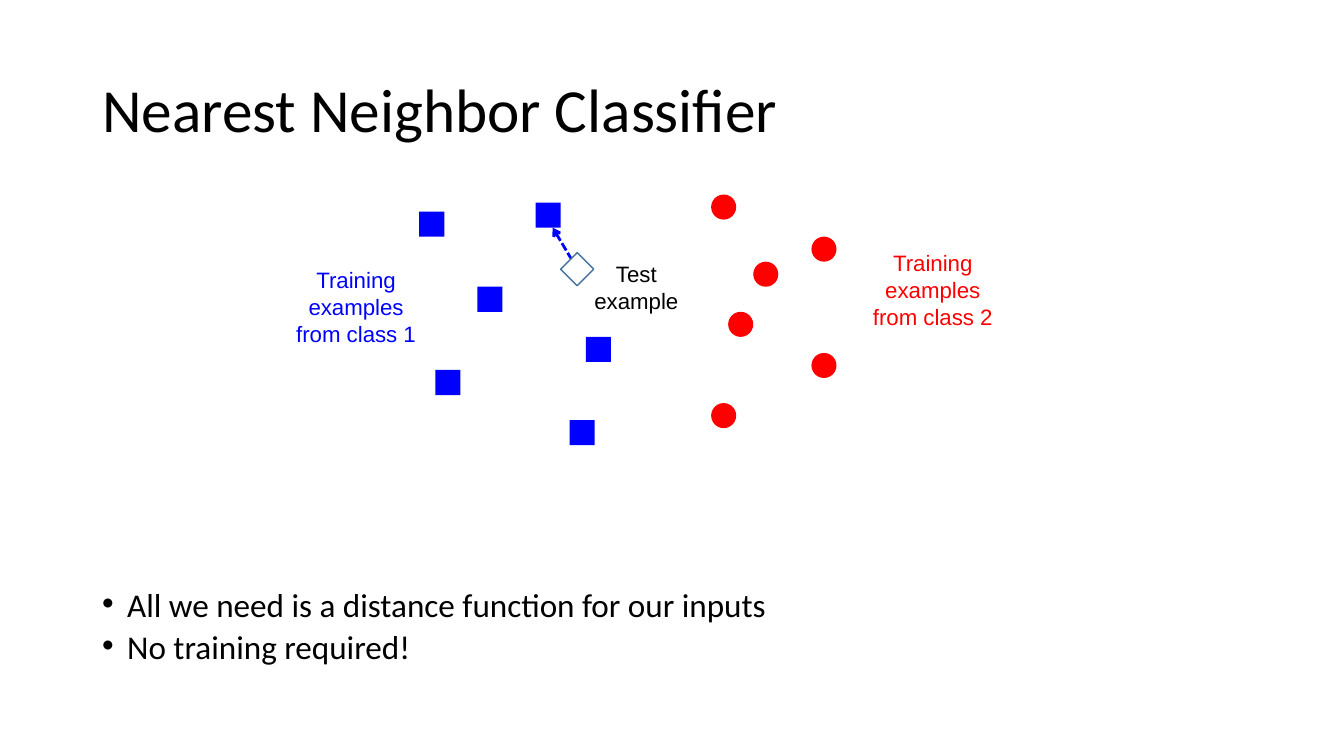
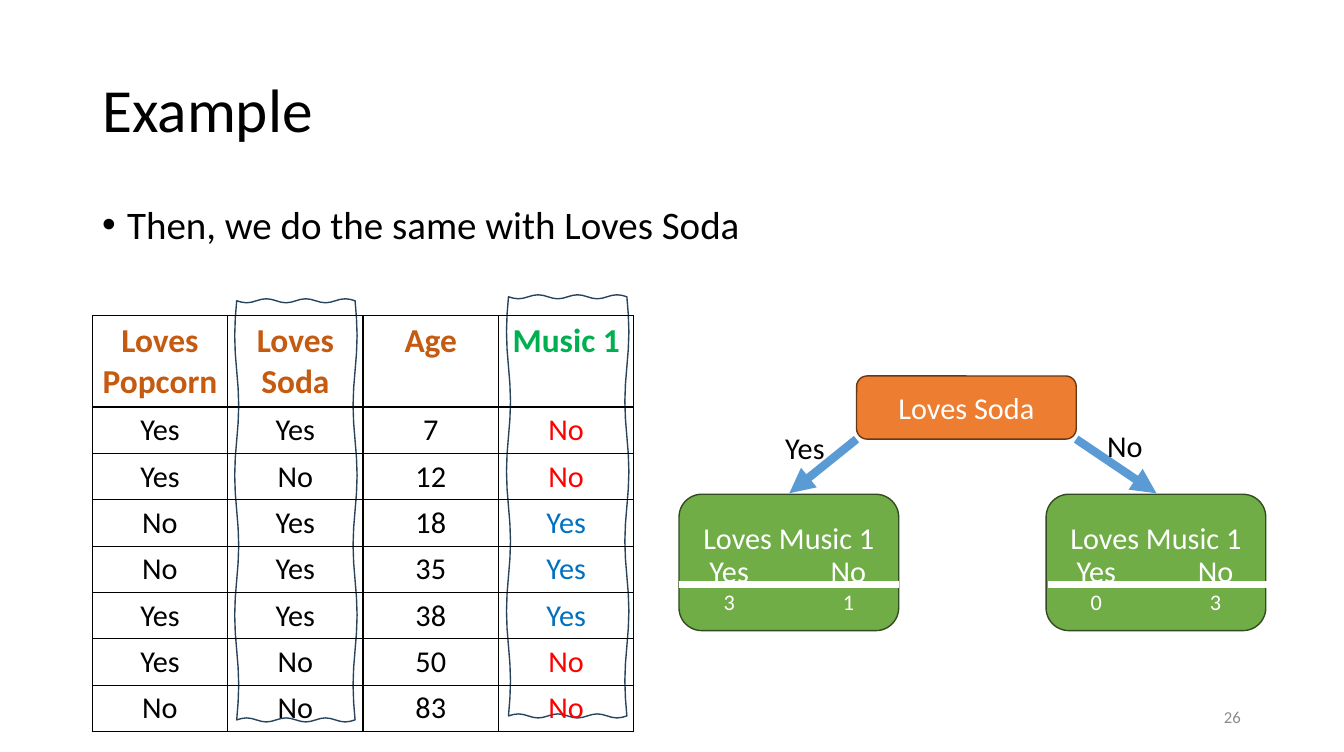
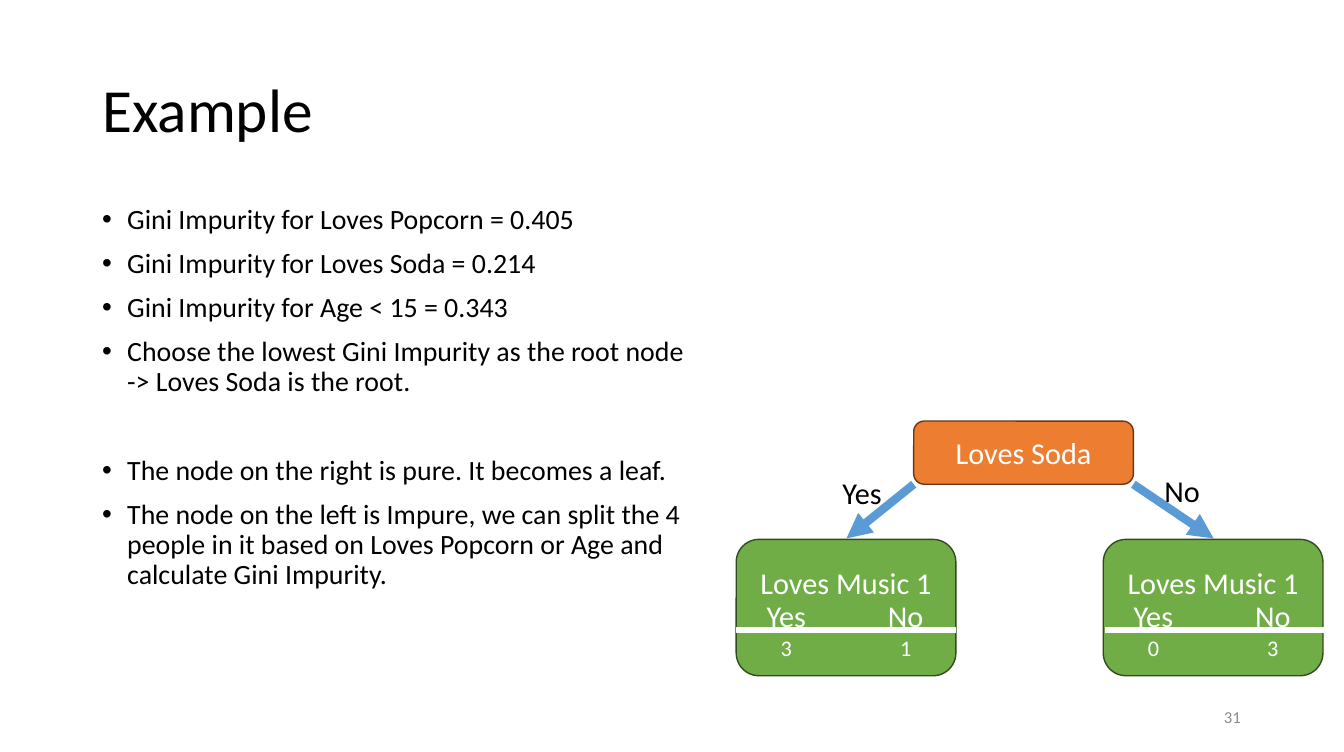
import math
from lxml import etree
from pptx import Presentation
from pptx.dml.color import RGBColor
from pptx.enum.dml import MSO_LINE
from pptx.enum.shapes import MSO_CONNECTOR, MSO_SHAPE
from pptx.enum.text import MSO_ANCHOR, PP_ALIGN
from pptx.oxml.ns import qn
from pptx.util import Pt

PX = 9144
LEFT, MID, RIGHT = PP_ALIGN.LEFT, PP_ALIGN.CENTER, PP_ALIGN.RIGHT
TOP, CENTER = MSO_ANCHOR.TOP, MSO_ANCHOR.MIDDLE
RECT, OVAL = MSO_SHAPE.RECTANGLE, MSO_SHAPE.OVAL
ROUND, DIAMOND = MSO_SHAPE.ROUNDED_RECTANGLE, MSO_SHAPE.DIAMOND
STRAIGHT, DASH = MSO_CONNECTOR.STRAIGHT, MSO_LINE.SQUARE_DOT

BLACK, WHITE, GRAY = "000000", "FFFFFF", "8C8C8C"
BLUE, RED, SKY = "0000FF", "FF0000", "5B9BD5"
GREEN, MOSS, ORANGE, BROWN = "70AD47", "314C1F", "ED7D31", "683715"
RUST, LEAF, AZURE, NAVY, STEEL = "C55A11", "00B050", "0070C0", "28445D", "43739E"
BODY = 21.7

DOTS = [
    (RECT, BLUE, [(418, 211), (476, 286), (534, 202),
                  (434, 369), (584, 336), (568, 419)]),
    (OVAL, RED, [(809, 236), (726, 311), (809, 352),
                 (709, 194), (751, 261), (709, 402)]),
]
LABELS = [
    ("Test example", (576, 255, 117, 64), BLACK),
    ("Training examples from class 1", (284, 261, 142, 91), BLUE),
    ("Training examples from class 2", (859, 244, 142, 91), RED),
]
NEEDS = ["All we need is a distance function for our inputs",
         "No training required!"]
SODA = ["Then, we do the same with Loves Soda"]
GINI = [
    "Gini Impurity for Loves Popcorn = 0.405",
    "Gini Impurity for Loves Soda = 0.214",
    "Gini Impurity for Age < 15 = 0.343",
    "Choose the lowest Gini Impurity as the root node -> Loves Soda is the root.",
    "The node on the right is pure. It becomes a leaf.",
    "The node on the left is Impure, we can split the 4 people in it based on "
    "Loves Popcorn or Age and calculate Gini Impurity.",
]
PEOPLE = [
    ("Loves Popcorn", "Loves Soda", "Age", "Music 1"),
    ("Yes", "Yes", "7", "No"),
    ("Yes", "No", "12", "No"),
    ("No", "Yes", "18", "Yes"),
    ("No", "Yes", "35", "Yes"),
    ("Yes", "Yes", "38", "Yes"),
    ("Yes", "No", "50", "No"),
    ("No", "No", "83", "No"),
]
HEADS = [RUST, RUST, RUST, LEAF]
VOTES = {"Yes": AZURE, "No": RED}
FRAMES = [(236, 300), (507, 296)]
LEAVES = [(0, 0, ("3", "1")), (366, 2, ("0", "3"))]
ARROWS = [((177, -55), (110, -1)), ((396, -55), (476, -1))]
SIDES = [("Yes", 96, -70), ("No", 417, -72)]


def emu(*nums):
    return [round(n * PX) for n in nums]


def rgb(code):
    return RGBColor.from_string(code)


def style(para, size, color=BLACK, align=LEFT, face="Calibri", bold=False):
    para.alignment = align
    font = para.font
    font.size, font.name, font.bold = Pt(size), face, bold
    font.color.rgb = rgb(color)


def paint(shape, fill, line=None):
    shape.shadow.inherit = False
    shape.fill.solid()
    shape.fill.fore_color.rgb = rgb(fill)
    if line:
        shape.line.color.rgb = rgb(line)
        shape.line.width = Pt(1)
    else:
        shape.line.fill.background()


def block(slide, kind, box, fill, line=None):
    shape = slide.shapes.add_shape(kind, *emu(*box))
    paint(shape, fill, line)
    return shape


def label(slide, text, box, size, color=BLACK, align=LEFT, face="Calibri",
          anchor=TOP):
    frame = slide.shapes.add_textbox(*emu(*box)).text_frame
    frame.word_wrap = True
    frame.vertical_anchor = anchor
    frame.text = text
    style(frame.paragraphs[0], size, color, align, face)
    return frame


def link(slide, start, end, color, width, tip=None, dash=None):
    line = slide.shapes.add_connector(STRAIGHT, *emu(*start, *end))
    line.line.color.rgb = rgb(color)
    line.line.width = Pt(width)
    if dash:
        line.line.dash_style = dash
    props = line._element.spPr
    if tip:
        etree.SubElement(props.find(qn("a:ln")), qn("a:tailEnd"), type=tip)
    etree.SubElement(props, qn("a:effectLst"))


def page(deck, title, number=None):
    slide = deck.slides.add_slide(deck.slide_layouts[5])
    head = slide.shapes.title
    head.left, head.top, head.width, head.height = emu(92, 40, 1156, 145)
    frame = head.text_frame
    frame.text = title
    frame.vertical_anchor = CENTER
    para = frame.paragraphs[0]
    para.line_spacing = 0.9
    style(para, 44)
    if number:
        label(slide, number, (946, 695, 301, 40), 12, GRAY, RIGHT,
              anchor=CENTER)
    return slide


def points(slide, items, box, size, space=0.9, gaps=None):
    frame = slide.shapes.add_textbox(*emu(*box)).text_frame
    frame.word_wrap = True
    for i, item in enumerate(items):
        para = frame.add_paragraph() if i else frame.paragraphs[0]
        para.text = item
        para.line_spacing = space
        para.space_before = Pt((gaps or {}).get(i, 10 if i else 0))
        props = para._p.get_or_add_pPr()
        props.set("marL", str(25 * PX))
        props.set("indent", str(-25 * PX))
        etree.SubElement(props, qn("a:buFont"), typeface="Arial")
        etree.SubElement(props, qn("a:buChar"), char="•")
        style(para, size)


def sketch(slide, x, y, wide=118, high=418):
    steps = [i / 24 for i in range(24)]
    wave = [2 * math.sin(math.tau * 3 * t) for t in steps]
    pairs = list(zip(steps, wave))
    path_pts = [(wide * t, w) for t, w in pairs]
    path_pts += [(wide + w, high * t) for t, w in pairs]
    path_pts += [(wide * (1 - t), high + w) for t, w in pairs]
    path_pts += [(w, high * (1 - t)) for t, w in pairs]
    spots = [emu(x + dx, y + dy) for dx, dy in path_pts]
    pen = slide.shapes.build_freeform(*spots[0])
    pen.add_line_segments(spots[1:], close=True)
    paint(pen.convert_to_shape(), WHITE, NAVY)


def edge(cell):
    props = cell._tc.get_or_add_tcPr()
    for i, side in enumerate(("lnL", "lnR", "lnT", "lnB")):
        line = etree.Element(qn("a:" + side), w="12700")
        fill = etree.SubElement(line, qn("a:solidFill"))
        etree.SubElement(fill, qn("a:srgbClr"), val=BLACK)
        props.insert(i, line)


def grid(slide):
    rows, cols = len(PEOPLE), len(HEADS)
    table = slide.shapes.add_table(
        rows, cols, *emu(92, 315, 135 * cols, 41 * rows)).table
    for col in table.columns:
        col.width = 135 * PX
    for r, row in enumerate(PEOPLE):
        table.rows[r].height = (41 if r else 91) * PX
        for c, text in enumerate(row):
            cell = table.cell(r, c)
            cell.text = text
            cell.fill.background()
            edge(cell)
            color = VOTES[text] if r and c == cols - 1 else BLACK
            style(cell.text_frame.paragraphs[0], BODY if r else 24,
                  color if r else HEADS[c], MID, bold=not r)


def leaf(slide, x, y, shift, counts):
    frame = block(slide, ROUND, (x, y, 219, 136), GREEN, MOSS).text_frame
    frame.vertical_anchor = TOP
    frame.margin_top = 18 * PX
    frame.text = "Loves Music 1"
    style(frame.paragraphs[0], BODY, WHITE, MID)
    for i, (name, count) in enumerate(zip(("Yes", "No"), counts)):
        box = (x + 10 + 119 * i, y + 58, 80, 64)
        part = label(slide, name, box, BODY, WHITE, MID)
        part.margin_left = part.margin_right = 0
        part.margin_top = part.margin_bottom = 0
        para = part.add_paragraph()
        para.text = count
        style(para, 16, WHITE, MID)
    link(slide, (x + shift, y + 90), (x + shift + 219, y + 90), WHITE, 4.5)


def tree(slide, x, y):
    root = block(slide, ROUND, (x + 177, y - 118, 219, 63), ORANGE, BROWN)
    root.text_frame.text = "Loves Soda"
    root.text_frame.vertical_anchor = CENTER
    style(root.text_frame.paragraphs[0], BODY, WHITE, MID)
    for (ax, ay), (bx, by) in ARROWS:
        link(slide, (x + ax, y + ay), (x + bx, y + by), SKY, 6, "triangle")
    for dx, shift, counts in LEAVES:
        leaf(slide, x + dx, y, shift, counts)
    for text, dx, dy in SIDES:
        label(slide, text, (x + dx, y + dy, 68, 47), BODY)


def main():
    deck = Presentation()
    deck.slide_width, deck.slide_height = emu(1340, 750)

    near = page(deck, "Nearest Neighbor Classifier")
    points(near, NEEDS, (92, 589, 1156, 87), 23.8, 0.7)
    for kind, color, spots in DOTS:
        for x, y in spots:
            block(near, kind, (x, y, 25, 25), color)
    for text, box, color in LABELS:
        label(near, text, box, 16, color, MID, "Arial")
    link(near, (576, 269), (551, 227), BLUE, 2, "arrow", DASH)
    block(near, DIAMOND, (559, 252, 33, 33), WHITE, STEEL)

    soda = page(deck, "Example", "26")
    for x, y in FRAMES:
        sketch(soda, x, y)
    points(soda, SODA, (92, 200, 1156, 100), 28)
    grid(soda)
    tree(soda, 677, 493)

    gini = page(deck, "Example", "31")
    points(gini, GINI, (92, 200, 604, 476), 20, gaps={4: 42})
    tree(gini, 734, 538)

    deck.save("out.pptx")


if __name__ == "__main__":
    main()
